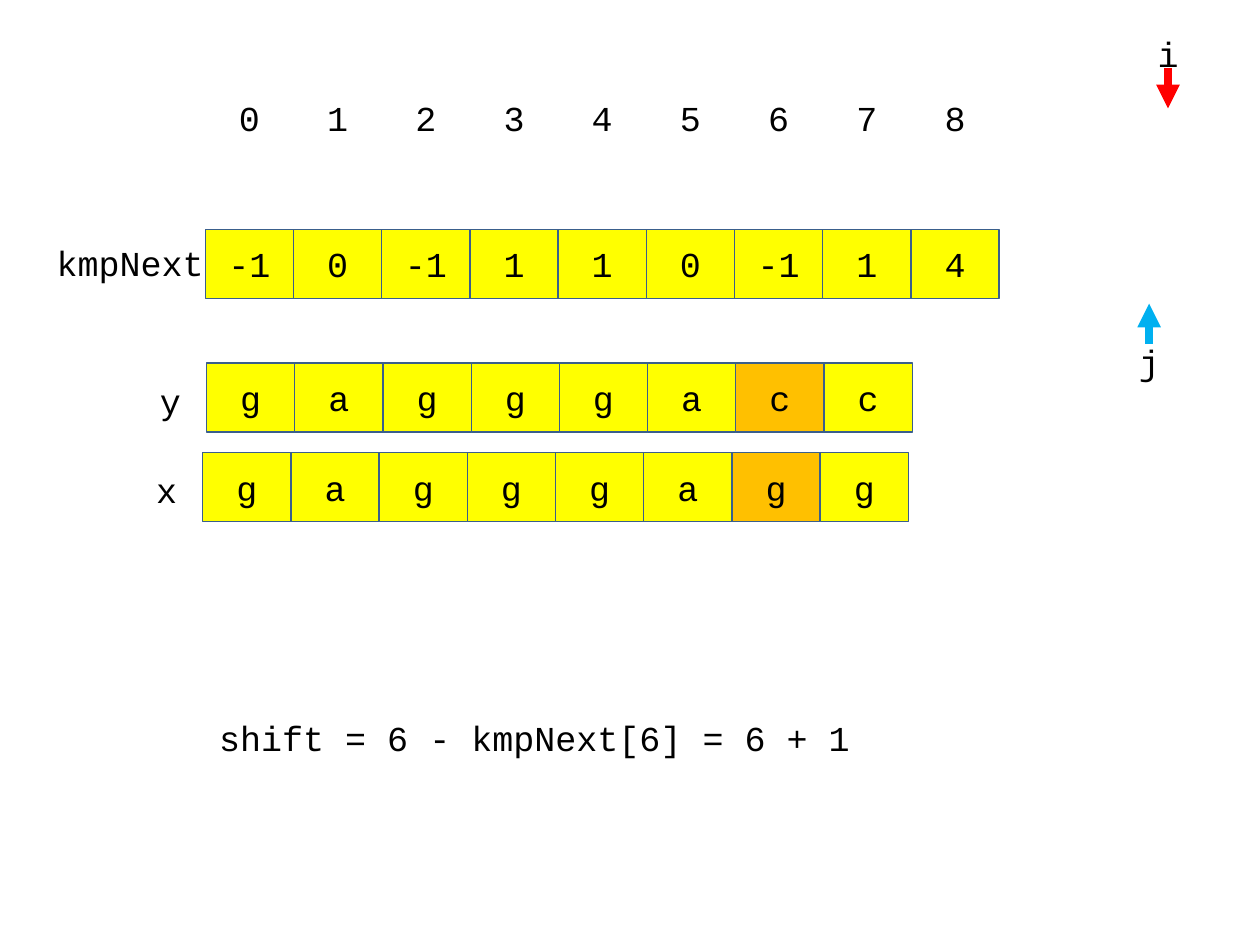
from dataclasses import dataclass

from lxml.etree import SubElement
from pptx import Presentation
from pptx.dml.color import RGBColor
from pptx.enum.shapes import MSO_CONNECTOR, MSO_SHAPE
from pptx.enum.text import MSO_ANCHOR, MSO_AUTO_SIZE, PP_ALIGN
from pptx.oxml.ns import qn
from pptx.shapes.shapetree import SlideShapes
from pptx.text.text import TextFrame
from pptx.util import Inches, Pt


@dataclass(frozen=True)
class Theme:
    font: str = "Courier New"
    size: Pt = Pt(20)
    text: RGBColor = RGBColor(0x00, 0x00, 0x00)
    cell: RGBColor = RGBColor(0xFF, 0xFF, 0x00)
    mismatch: RGBColor = RGBColor(0xFF, 0xC0, 0x00)
    border: RGBColor = RGBColor(0x3A, 0x5F, 0x8C)
    border_width: Pt = Pt(0.75)
    text_pointer: RGBColor = RGBColor(0xFF, 0x00, 0x00)
    pattern_pointer: RGBColor = RGBColor(0x00, 0xB0, 0xF0)
    pointer_width: Pt = Pt(4.5)


@dataclass(frozen=True)
class CellRow:
    left: float
    top: float
    values: list[str]
    boxed: bool = True
    mismatch: int | None = None


@dataclass(frozen=True)
class Label:
    text: str
    left: float
    top: float
    width: float
    wrap: bool = True


@dataclass(frozen=True)
class Pointer:
    label: Label
    x: float
    start: float
    end: float
    color: RGBColor


THEME = Theme()
CELL_WIDTH, CELL_HEIGHT, LABEL_HEIGHT = 0.7, 0.55, 0.44

ROWS = [
    CellRow(1.63, 0.66, list("012345678"), boxed=False),
    CellRow(1.63, 1.82, "-1 0 -1 1 1 0 -1 1 4".split()),
    CellRow(1.64, 2.88, list("gagggacc"), mismatch=6),
    CellRow(1.61, 3.59, list("gagggagg"), mismatch=6),
]
LABELS = [
    Label("kmpNext", 0.35, 1.87, 1.42),
    Label("y", 1.17, 2.96, 0.39),
    Label("x", 1.14, 3.67, 0.39),
    Label("shift = 6 - kmpNext[6] = 6 + 1", 1.64, 5.64, 6.45),
]
POINTERS = [
    Pointer(Label("i", 9.09, 0.21, 0.36, wrap=False), 9.27, 0.54, 0.86, THEME.text_pointer),
    Pointer(Label("j", 8.94, 2.65, 0.36, wrap=False), 9.12, 2.73, 2.41, THEME.pattern_pointer),
]


def write(frame: TextFrame, text: str, align: PP_ALIGN = PP_ALIGN.LEFT) -> None:
    frame.text = text
    paragraph = frame.paragraphs[0]
    paragraph.alignment = align
    paragraph.font.name = THEME.font
    paragraph.font.size = THEME.size
    paragraph.font.color.rgb = THEME.text


def draw_row(shapes: SlideShapes, row: CellRow) -> None:
    for index, value in enumerate(row.values):
        place = (Inches(row.left + index * CELL_WIDTH), Inches(row.top),
                 Inches(CELL_WIDTH), Inches(CELL_HEIGHT))
        if row.boxed:
            cell = shapes.add_shape(MSO_SHAPE.RECTANGLE, *place)
            cell.shadow.inherit = False
            cell.fill.solid()
            cell.fill.fore_color.rgb = THEME.mismatch if index == row.mismatch else THEME.cell
            cell.line.color.rgb = THEME.border
            cell.line.width = THEME.border_width
        else:
            cell = shapes.add_textbox(*place)
        cell.text_frame.word_wrap = True
        cell.text_frame.vertical_anchor = MSO_ANCHOR.MIDDLE
        write(cell.text_frame, value, PP_ALIGN.CENTER)


def draw_label(shapes: SlideShapes, label: Label) -> None:
    box = shapes.add_textbox(Inches(label.left), Inches(label.top),
                             Inches(label.width), Inches(LABEL_HEIGHT))
    box.text_frame.word_wrap = label.wrap
    box.text_frame.auto_size = MSO_AUTO_SIZE.SHAPE_TO_FIT_TEXT
    write(box.text_frame, label.text)


def draw_pointer(shapes: SlideShapes, pointer: Pointer) -> None:
    arrow = shapes.add_connector(MSO_CONNECTOR.STRAIGHT, Inches(pointer.x), Inches(pointer.start),
                                 Inches(pointer.x), Inches(pointer.end))
    arrow.line.color.rgb = pointer.color
    arrow.line.width = THEME.pointer_width
    # Arrowhead at the end, and no shadow
    SubElement(arrow.line._get_or_add_ln(), qn("a:tailEnd"), type="triangle")
    SubElement(arrow._element.spPr, qn("a:effectLst"))
    draw_label(shapes, pointer.label)


def main() -> None:
    deck = Presentation()
    deck.slide_width, deck.slide_height = Inches(10), Inches(7.5)
    shapes = deck.slides.add_slide(deck.slide_layouts[6]).shapes

    # Row names and the shift formula
    for label in LABELS:
        draw_label(shapes, label)
    # Indices, failure table, text and pattern
    for row in ROWS:
        draw_row(shapes, row)
    # Positions i and j
    for pointer in POINTERS:
        draw_pointer(shapes, pointer)

    deck.save("out.pptx")


if __name__ == "__main__":
    main()
